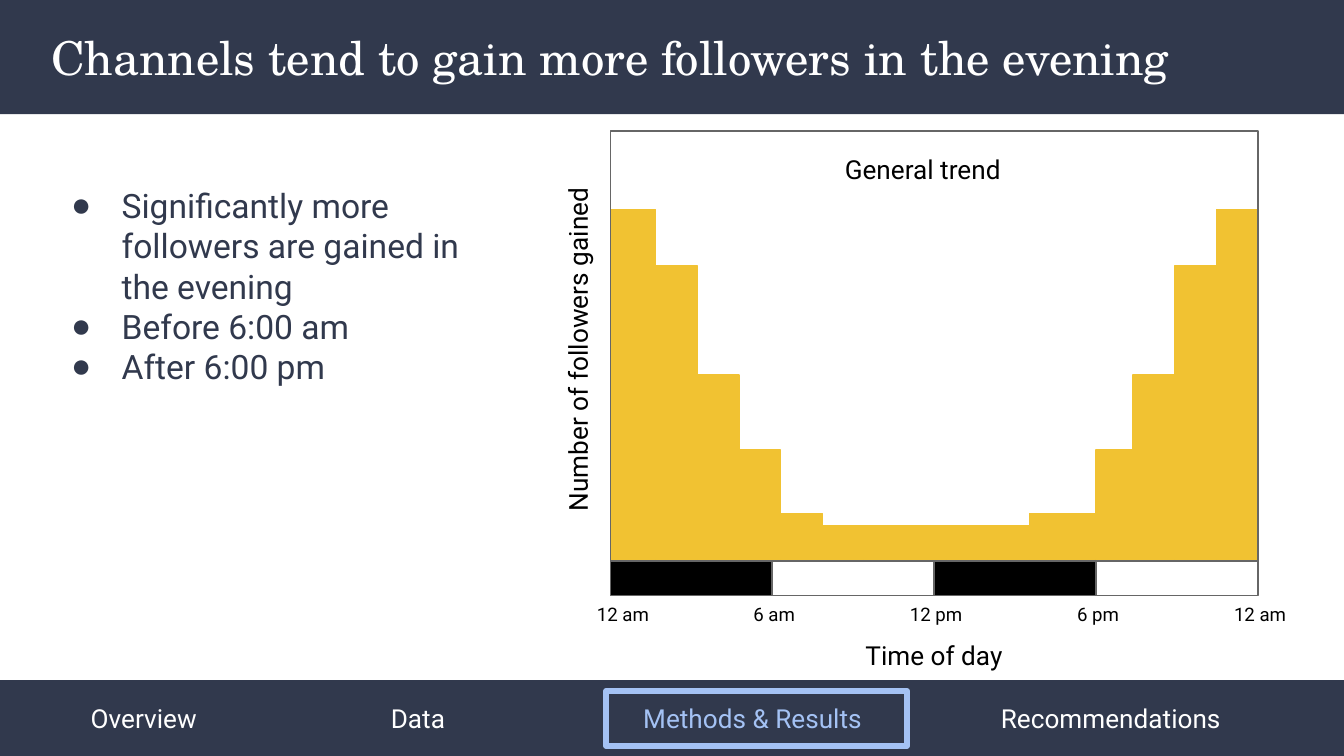
from lxml import etree
from pptx import Presentation
from pptx.dml.color import RGBColor
from pptx.enum.shapes import MSO_SHAPE
from pptx.enum.text import MSO_ANCHOR, MSO_AUTO_SIZE, PP_ALIGN
from pptx.oxml.ns import qn
from pptx.util import Pt

RECTANGLE = MSO_SHAPE.RECTANGLE
TOP, MIDDLE = MSO_ANCHOR.TOP, MSO_ANCHOR.MIDDLE
LEFT, CENTER = PP_ALIGN.LEFT, PP_ALIGN.CENTER
NO_AUTOFIT = MSO_AUTO_SIZE.NONE

PX = 4572
SLIDE_WIDTH, SLIDE_HEIGHT = 2000, 1125
INSET = 20
COLORS = {
    "navy": "31394D",
    "white": "FFFFFF",
    "highlight": "A4C2F4",
    "gold": "F1C232",
    "black": "000000",
    "gray": "666666",
}
SANS, SERIF = "Roboto", "TeX Gyre Schola"

TITLE = "Channels tend to gain more followers in the evening"
FINDINGS = [
    "Significantly more followers are gained in the evening",
    "Before 6:00 am",
    "After 6:00 pm",
]
SECTIONS = [
    ("Overview", 57, 314),
    ("Data", 465, 314),
    ("Methods & Results", 866, 508),
    ("Recommendations", 1449, 408),
]
CURRENT_SECTION = "Methods & Results"
HOURS = [("12 am", -102), ("6 am", 123), ("12 pm", 364), ("6 pm", 605), ("12 am", 846)]
BARS = [
    (1, 67, 521), (68, 62, 437), (130, 62, 275), (192, 62, 163), (254, 62, 69),
    (315, 62, 51), (377, 62, 51), (438, 62, 51), (500, 62, 51), (562, 62, 51),
    (624, 98, 69), (723, 62, 163), (778, 62, 275), (840, 62, 437), (902, 62, 521),
]


def color(name):
    """Return the named colour."""
    return RGBColor.from_string(COLORS[name])


def to_emu(box):
    """Scale a box from px to EMU."""
    return [length * PX for length in box]


def add_rectangle(slide, box, fill=None, line=None, weight=0.75):
    """Add a rectangle with optional fill and outline."""
    shape = slide.shapes.add_shape(RECTANGLE, *to_emu(box))
    shape.shadow.inherit = False
    if fill:
        shape.fill.solid()
        shape.fill.fore_color.rgb = color(fill)
    else:
        shape.fill.background()
    if line:
        shape.line.color.rgb = color(line)
        shape.line.width = Pt(weight)
    else:
        shape.line.fill.background()
    return shape


def write_text(shape, lines, size, ink, font=SANS, align=CENTER, anchor=MIDDLE):
    """Write formatted paragraphs into a shape."""
    frame = shape.text_frame
    frame.text = "\n".join(lines)
    frame_format = {"word_wrap": True, "auto_size": NO_AUTOFIT, "vertical_anchor": anchor}
    for side in ("left", "top", "right", "bottom"):
        frame_format[f"margin_{side}"] = INSET * PX
    for name, value in frame_format.items():
        setattr(frame, name, value)
    paragraph_format = {"alignment": align, "space_before": Pt(0), "line_spacing": 1.0}
    for paragraph in frame.paragraphs:
        for name, value in paragraph_format.items():
            setattr(paragraph, name, value)
        for run in paragraph.runs:
            for name, value in {"name": font, "size": Pt(size), "bold": False}.items():
                setattr(run.font, name, value)
            run.font.color.rgb = color(ink)


def add_label(slide, box, text, size=14, ink="black", anchor=MIDDLE):
    """Add a centred text box."""
    label = slide.shapes.add_textbox(*to_emu(box))
    write_text(label, [text], size, ink, anchor=anchor)
    return label


def place(shape, box):
    """Move and size a shape."""
    for name, value in zip(("left", "top", "width", "height"), to_emu(box)):
        setattr(shape, name, value)


def add_bullet(paragraph):
    """Give a paragraph a round bullet and a hanging indent."""
    properties = paragraph._p.get_or_add_pPr()
    properties.set("marL", str(100 * PX))
    properties.set("indent", str(-75 * PX))
    bullet_color = etree.SubElement(properties, qn("a:buClr"))
    etree.SubElement(bullet_color, qn("a:srgbClr"), val=COLORS["navy"])
    etree.SubElement(properties, qn("a:buChar"), char="●")


def build_header(slide, box):
    """Place the title on its band."""
    left, top, width, height = box
    band = add_rectangle(slide, box, fill="navy")
    slide.shapes._spTree.insert(2, band._element)
    title = slide.shapes.title
    place(title, (left + 56, top + 16, width - 136, height - 34))
    write_text(title, [TITLE], 25, "white", SERIF, LEFT)


def build_findings(slide, box):
    """Fill the body with the bulleted findings."""
    body = slide.placeholders[1]
    place(body, box)
    write_text(body, FINDINGS, 18, "navy", align=LEFT, anchor=TOP)
    for paragraph in body.text_frame.paragraphs:
        add_bullet(paragraph)


def build_histogram(slide, box):
    """Draw the follower histogram with its day and night axis."""
    left, top, width, height = box
    baseline = top + height - 2
    segment_width = width // 4
    for index in range(4):
        segment = (left + index * segment_width, baseline, segment_width, 53)
        add_rectangle(slide, segment, None if index % 2 else "black", "gray")
    for offset, bar_width, bar_height in BARS:
        bar = (left + offset, baseline - bar_height, bar_width, bar_height)
        add_rectangle(slide, bar, "gold", "gold")
    add_rectangle(slide, box, line="gray")
    for hour, offset in HOURS:
        add_label(slide, (left + offset, baseline + 23, 242, 116), hour, size=10)
    add_label(slide, (left + 100, top + 13, 740, 236), "General trend ", anchor=TOP)
    add_label(slide, (left + 18, baseline + 99, 928, 108), "Time of day", anchor=TOP)
    axis_title = add_label(
        slide, (left - 356, top + 271, 636, 108), "Number of followers gained", anchor=TOP
    )
    axis_title.rotation = 270


def build_navigation(slide, box):
    """Draw the section bar and frame the current section."""
    left, top, width, height = box
    add_rectangle(slide, box, fill="navy")
    for name, offset, label_width in SECTIONS:
        current = name == CURRENT_SECTION
        label_box = (left + offset, top + 27, label_width, 60)
        add_label(slide, label_box, name, ink="highlight" if current else "white")
        if current:
            frame = (left + offset + 36, top + 16, label_width - 60, 82)
            add_rectangle(slide, frame, line="highlight", weight=3)


def main():
    """Build and save the slide."""
    presentation = Presentation()
    presentation.slide_width = SLIDE_WIDTH * PX
    presentation.slide_height = SLIDE_HEIGHT * PX
    slide = presentation.slides.add_slide(presentation.slide_layouts[1])
    build_header(slide, (0, 0, SLIDE_WIDTH, 170))
    build_findings(slide, (61, 255, 684, 612))
    build_histogram(slide, (908, 195, 964, 640))
    build_navigation(slide, (0, 1012, SLIDE_WIDTH, 113))
    presentation.save("out.pptx")


if __name__ == "__main__":
    main()
